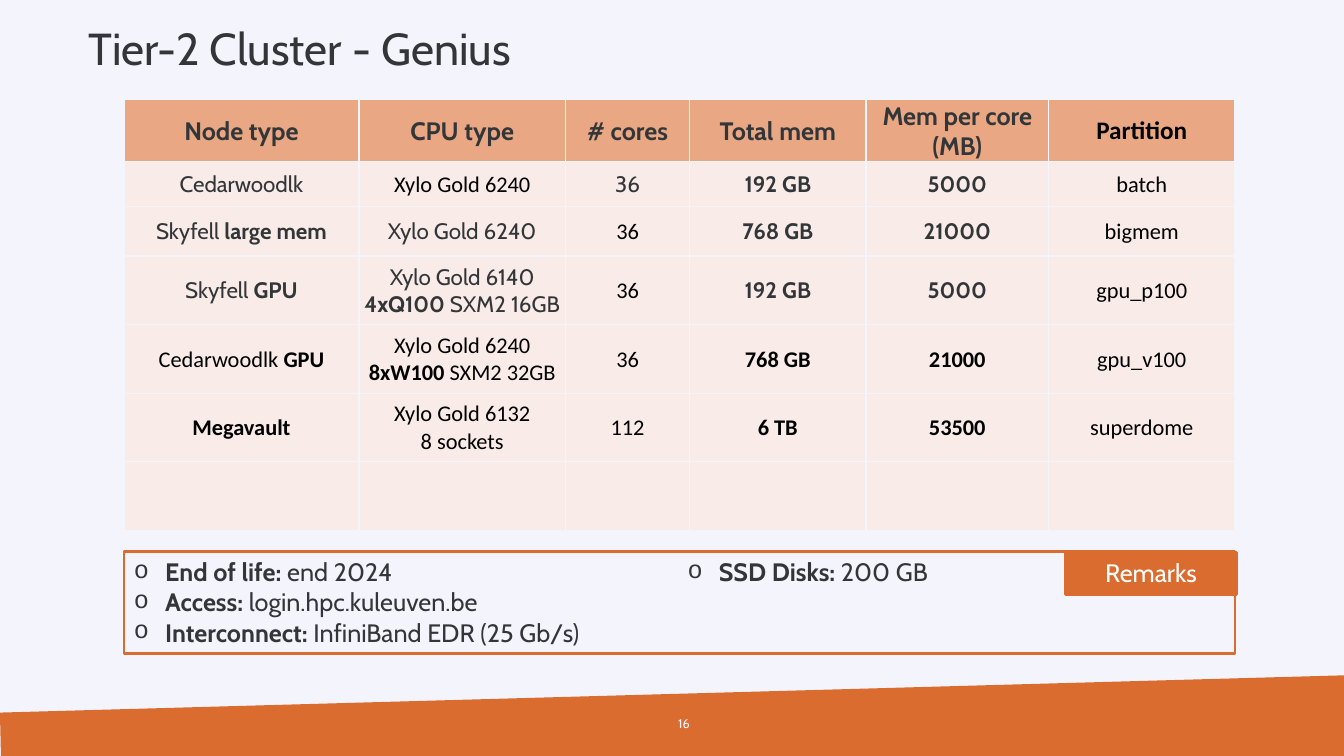
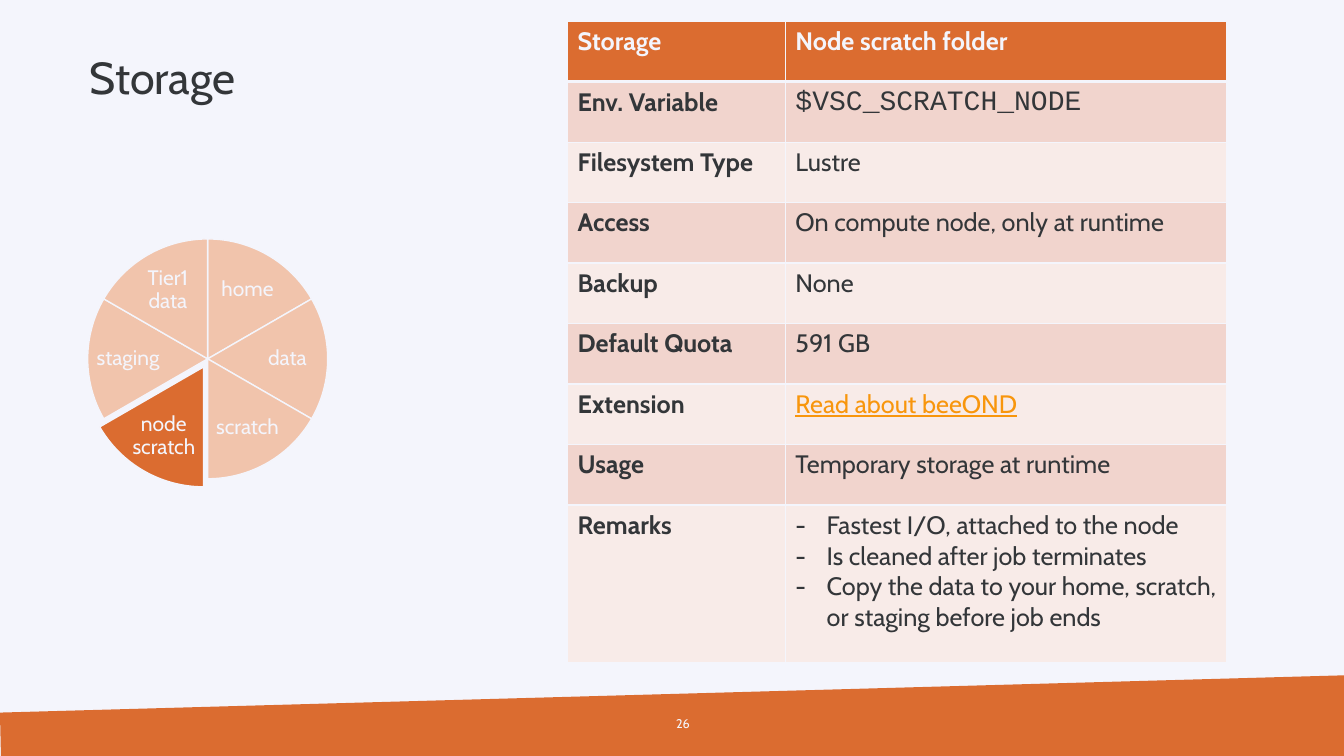
import math

from lxml import etree
from pptx import Presentation
from pptx import util as u
from pptx.dml.color import RGBColor
from pptx.enum import shapes, text
from pptx.oxml.ns import qn

ORANGE, PAPER, DARK, BLACK = "DB6C30", "F4F5FC", "333639", "000000"
HEAD, LIGHT, ROSE, PEACH = "E9A783", "F8EBE8", "F1D4CD", "F1C4AC"
LINK, WHITE = "F8960D", "FFFFFF"
CENTER, RIGHT = text.PP_ALIGN.CENTER, text.PP_ALIGN.RIGHT
TOP, MIDDLE = text.MSO_ANCHOR.TOP, text.MSO_ANCHOR.MIDDLE

CLUSTER_COLS = [2.33, 2.05, 1.23, 1.75, 1.81, 1.85]
CLUSTER_ROWS = [0.61, 0.45, 0.49] + [0.68] * 4
# Per row: font code of each column (d = dark Cabin, k = black Calibri), then the cells
CLUSTER = [
    ("dddddk", ["**Node type**", "**CPU type**", "**# cores**", "**Total mem**",
                "**Mem per core (MB)**", "**Partition**"]),
    ("dkdddk", ["Cedarwoodlk", "Xylo Gold 6240", "36", "**192 GB**", "**5000**", "batch"]),
    ("ddkddk", ["Skyfell **large mem**", "Xylo Gold 6240", "36", "**768 GB**", "**21000**",
                "bigmem"]),
    ("ddkddk", ["Skyfell **GPU**", "Xylo Gold 6140\n**4xQ100** SXM2 16GB", "36",
                "**192 GB**", "**5000**", "gpu_p100"]),
    ("kkkkkk", ["Cedarwoodlk **GPU**", "Xylo Gold 6240\n**8xW100** SXM2 32GB", "36",
                "**768 GB**", "**21000**", "gpu_v100"]),
    ("kkkkkk", ["**Megavault**", "Xylo Gold 6132\n8 sockets", "112", "**6 TB**",
                "**53500**", "superdome"]),
    ("kkkkkk", [""] * 6),
]
CLUSTER_FONTS = {"d": {"name": "Cabin", "color": DARK},
                 "k": {"name": "Calibri", "color": BLACK}}
REMARKS = """**End of life: **end 2024
**Access:** login.hpc.kuleuven.be
**Interconnect:** InfiniBand EDR (25 Gb/s)
**SSD Disks:** 200 GB"""

STORAGE = [
    ("Storage", "**Node scratch folder**"),
    ("Env. Variable", "$VSC_SCRATCH_NODE"),
    ("Filesystem Type", "Lustre"),
    ("Access", "On compute node, only at runtime"),
    ("Backup", "None"),
    ("Default Quota", "591 GB"),
    ("Extension", "Read about beeOND"),
    ("Usage", "Temporary storage at runtime"),
    ("Remarks", "Fastest I/O, attached to the node\nIs cleaned after job terminates\n"
                "Copy the data to your home, scratch, or staging before job ends"),
]
STORAGE_FORMATS = {
    "Storage": {"color": PAPER},
    "Env. Variable": {"name": "Courier New", "size": 20},
    "Extension": {"color": LINK, "underline": True},
}
SLICES = ["home", "data", "scratch", "node scratch", "staging", "Tier1 data"]


def rgb(color):
    return RGBColor.from_string(color)


def inches(*values):
    return [u.Inches(v) for v in values]


def set_bullet(p, char):
    pPr = p._p.get_or_add_pPr()
    pPr.set("marL", str(u.Inches(0.31)))
    pPr.set("indent", str(-u.Inches(0.31)))
    font = "Courier New" if char == "o" else "Cabin"
    etree.SubElement(pPr, qn("a:buFont")).set("typeface", font)
    etree.SubElement(pPr, qn("a:buChar")).set("char", char)


def write(tf, content, align=None, spacing=None, bullet=None, **fmt):
    """Fill a text frame: one paragraph a line, **marked** stretches in bold."""
    fmt = {"name": "Cabin", "size": 18, "color": DARK, **fmt}
    size, color = u.Pt(fmt.pop("size")), rgb(fmt.pop("color"))
    tf.word_wrap = True
    for i, line in enumerate(content.split("\n")):
        p = tf.paragraphs[0] if i == 0 else tf.add_paragraph()
        if bullet:
            set_bullet(p, bullet)
        p.alignment, p.line_spacing = align, spacing
        for j, part in enumerate(line.split("**")):
            if not part:
                continue
            r = p.add_run()
            r.text = part
            for key, value in {**fmt, "size": size, "bold": j % 2 == 1}.items():
                setattr(r.font, key, value)
            r.font.color.rgb = color


def add_text(s, box, content, anchor=MIDDLE, margin=None, **fmt):
    tf = s.shapes.add_textbox(*inches(*box)).text_frame
    tf.vertical_anchor = anchor
    if margin is not None:
        for side in ("left", "right", "top", "bottom"):
            setattr(tf, f"margin_{side}", u.Inches(margin))
    write(tf, content, **fmt)


def add_box(s, kind, box, fill=None, line=None, width=1):
    sp = s.shapes.add_shape(kind, *inches(*box))
    sp.shadow.inherit = False
    if fill:
        sp.fill.solid()
        sp.fill.fore_color.rgb = rgb(fill)
    else:
        sp.fill.background()
    sp.line.color.rgb = rgb(line)
    sp.line.width = u.Pt(width)
    return sp


def style_cell(cell, fill, top=1, bottom=1):
    """Fill a cell and rule its four sides; top and bottom are widths in points."""
    cell.fill.solid()
    cell.fill.fore_color.rgb = rgb(fill)
    tcPr = cell._tc.get_or_add_tcPr()
    for i, (tag, width) in enumerate(zip(("lnL", "lnR", "lnT", "lnB"), (1, 1, top, bottom))):
        ln = etree.Element(qn(f"a:{tag}"), w=str(u.Pt(width)))
        solid = etree.SubElement(ln, qn("a:solidFill"))
        etree.SubElement(solid, qn("a:srgbClr")).set("val", PAPER)
        tcPr.insert(i, ln)


def add_grid(s, left, top, widths, heights):
    box = inches(left, top, sum(widths), sum(heights))
    table = s.shapes.add_table(len(heights), len(widths), *box).table
    table.first_row = table.horz_banding = False
    for col, width in zip(table.columns, widths):
        col.width = u.Inches(width)
    for row, height in zip(table.rows, heights):
        row.height = u.Inches(height)
    return table


def new_slide(prs, title, title_box, number):
    """Add a slide with the slanted footer band, slide number and title."""
    s = prs.slides.add_slide(prs.slide_layouts[6])
    outline = [inches(*pt) for pt in [(0, 7.07), (13.33, 6.7), (13.33, 7.5), (0.01, 7.5)]]
    builder = s.shapes.build_freeform(*outline[0])
    builder.add_line_segments(outline[1:], close=True)
    band = builder.convert_to_shape()
    band.shadow.inherit = False
    band.fill.solid()
    band.fill.fore_color.rgb = rgb(ORANGE)
    band.line.fill.background()
    add_text(s, (6.39, 6.98, 0.55, 0.4), str(number), align=RIGHT, size=9, color=PAPER)
    add_text(s, title_box, title, spacing=0.9, size=32)
    return s


def add_cluster_table(s):
    table = add_grid(s, 1.23, 0.99, CLUSTER_COLS, CLUSTER_ROWS)
    for i, (codes, cells) in enumerate(CLUSTER):
        for j, (code, content) in enumerate(zip(codes, cells)):
            cell = table.cell(i, j)
            style_cell(cell, LIGHT if i else HEAD)
            cell.vertical_anchor = MIDDLE
            cell.margin_left = cell.margin_right = cell.margin_top = u.Inches(0.01)
            cell.margin_bottom = 0
            write(cell.text_frame, content, align=CENTER, size=16 if i else 18,
                  **CLUSTER_FONTS[code])


def add_remarks(s):
    rect = shapes.MSO_SHAPE.RECTANGLE
    frame = add_box(s, rect, (1.23, 5.47, 11.02, 1.01), line=ORANGE, width=2)
    label = add_box(s, rect, (10.57, 5.48, 1.69, 0.42), ORANGE, ORANGE, 2)
    for sp in (frame, label):
        sp.text_frame.vertical_anchor = TOP
        sp.text_frame.auto_size = text.MSO_AUTO_SIZE.SHAPE_TO_FIT_TEXT
    write(frame.text_frame, REMARKS, align=text.PP_ALIGN.LEFT, bullet="o")
    bodyPr = frame.text_frame._txBody.bodyPr
    bodyPr.set("numCol", "2")
    bodyPr.set("spcCol", str(u.Inches(0.16)))
    write(label.text_frame, "Remarks", align=CENTER, color=WHITE)


def add_storage_pie(s, active):
    """Draw equal slices clockwise from the top, with the active one pulled out."""
    size, label_w, label_h, reach = 2.38, 0.72, 0.51, 0.79
    step = 360 / len(SLICES)
    for i, name in enumerate(SLICES):
        chosen = name == active
        cx, cy = (2.02, 3.64) if chosen else (2.06, 3.56)
        start = 270 + i * step
        pie = add_box(s, shapes.MSO_SHAPE.PIE, (cx - size / 2, cy - size / 2, size, size),
                      ORANGE if chosen else PEACH, PAPER)
        for k in range(2):
            # Angles are stored in 60000ths of a degree, adjustments in 100000ths
            pie.adjustments[k] = (start + k * step) % 360 * 0.6
        middle = math.radians(start + step / 2)
        x, y = cx + reach * math.cos(middle), cy + reach * math.sin(middle)
        add_text(s, (x - label_w / 2, y - label_h / 2, label_w, label_h), name, margin=0.02,
                 align=CENTER, spacing=0.9, size=15, color=PAPER)


def add_storage_table(s):
    table = add_grid(s, 5.63, 0.21, [2.16, 4.38], [0.6] * 8 + [1.56])
    for i, (label, content) in enumerate(STORAGE):
        fill = (ROSE if i % 2 else LIGHT) if i else ORANGE
        for j in range(2):
            style_cell(table.cell(i, j), fill, 3 if i == 1 else 1, 3 if i == 0 else 1)
        write(table.cell(i, 0).text_frame, f"**{label}**", color=DARK if i else PAPER)
        write(table.cell(i, 1).text_frame, content, bullet="-" if "\n" in content else None,
              **STORAGE_FORMATS.get(label, {}))


def main():
    prs = Presentation()
    prs.slide_width, prs.slide_height = inches(13.33, 7.5)
    background = prs.slide_master.background.fill
    background.solid()
    background.fore_color.rgb = rgb(PAPER)

    s = new_slide(prs, "Tier-2 Cluster - Genius", (0.78, 0.17, 12.15, 0.67), 16)
    add_cluster_table(s)
    add_remarks(s)

    s = new_slide(prs, "Storage", (0.79, 0.36, 12.15, 0.87), 26)
    add_storage_pie(s, "node scratch")
    add_storage_table(s)
    prs.save("out.pptx")


if __name__ == "__main__":
    main()
